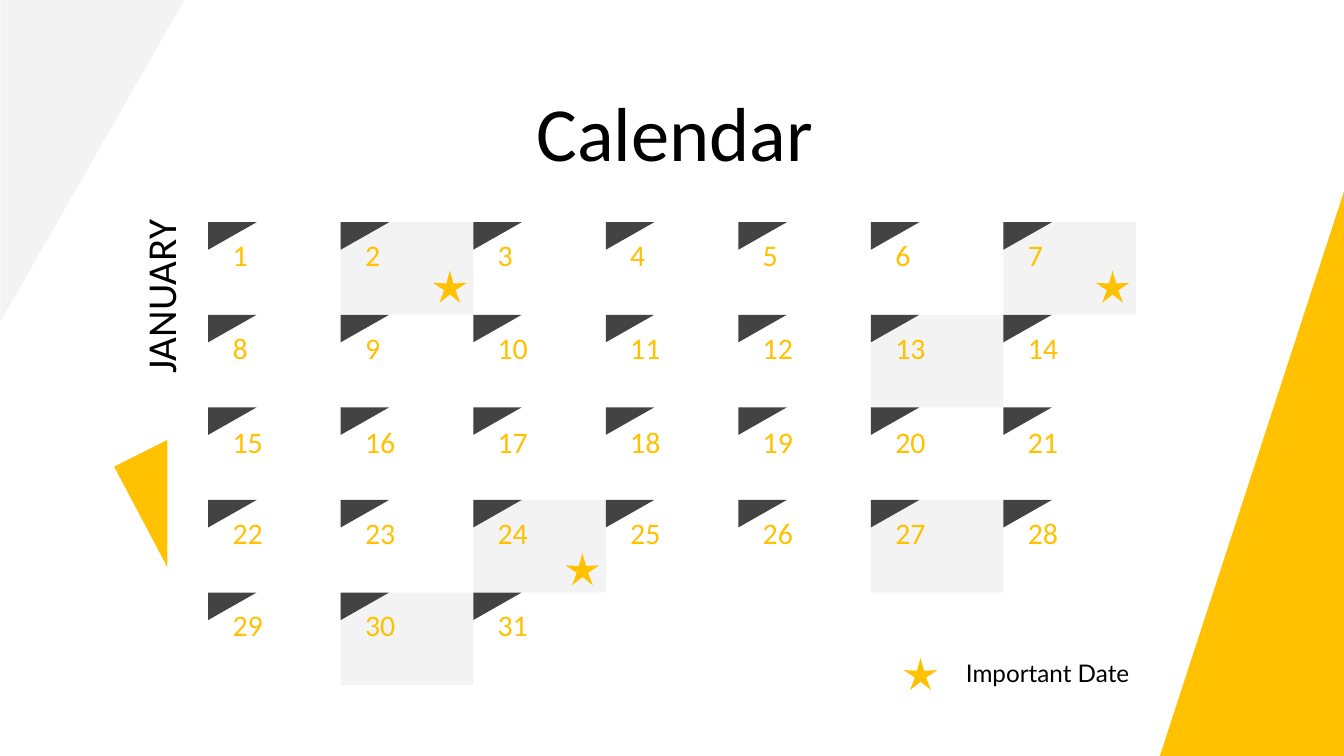
"""Build a January calendar slide with marked and important dates."""
from pptx import Presentation
from pptx.dml.color import RGBColor
from pptx.enum import shapes, text
from pptx.util import Cm, Pt

GOLD, GREY, DARK, BLACK = "FFC100", "F3F3F3", "434343", "000000"
KIND = shapes.MSO_SHAPE
ALIGN = text.PP_ALIGN
ANCHOR = text.MSO_ANCHOR


def draw(kind, x, y, w, h, hue, turn=0):
    item = slide.shapes.add_shape(kind, Cm(x), Cm(y), Cm(w), Cm(h))
    item.fill.solid()
    item.fill.fore_color.rgb = RGBColor.from_string(hue)
    item.line.fill.background()
    item.shadow.inherit = False
    item.rotation = turn
    return item


def write(box, x, y, w, h, words, size, hue, font="Calibri",
          align=ALIGN.LEFT, anchor=ANCHOR.MIDDLE, space=1.15):
    box.left, box.top, box.width, box.height = Cm(x), Cm(y), Cm(w), Cm(h)
    frame = box.text_frame
    frame.word_wrap = True
    frame.auto_size = text.MSO_AUTO_SIZE.NONE
    frame.vertical_anchor = anchor
    frame.margin_left = frame.margin_right = Cm(0.51)
    frame.margin_top = frame.margin_bottom = Cm(0.51)
    para = frame.paragraphs[0]
    para.alignment = align
    para.line_spacing = space
    para.space_before = Pt(0)
    run = para.add_run()
    run.text = words
    run.font.size = Pt(size)
    run.font.name = font
    run.font.color.rgb = RGBColor.from_string(hue)
    return para


deck = Presentation()
deck.slide_width, deck.slide_height = Cm(50.8), Cm(28.58)
slide = deck.slides.add_slide(deck.slide_layouts[0])

draw(KIND.RIGHT_TRIANGLE, -2.59, 2.59, 12.17, 6.96, GREY, 90)
draw(KIND.RIGHT_TRIANGLE, 36.65, 14.43, 21.34, 6.96, GOLD, 270)

write(slide.shapes.title, 3, 2.72, 45, 3.18, "Calendar", 82, BLACK,
      align=ALIGN.CENTER, anchor=ANCHOR.TOP, space=1.0)
month = slide.placeholders[1]
para = write(month, 0.51, 11.61, 10.36, 2.74, "JANUARY", 44, BLACK,
             align=ALIGN.RIGHT, anchor=ANCHOR.TOP)
para.space_after = Pt(32)
month.rotation = 270
wedge = draw(KIND.ISOSCELES_TRIANGLE, 2.92, 18.03, 4.8, 2.01, GOLD, 270)
wedge.adjustments[0] = 0.79

LEFT, TOP, WIDE, HIGH = 7.87, 8.4, 5.01, 3.5
spots = {}
for day in range(1, 32):
    row, col = divmod(day - 1, 7)
    spots[day] = (LEFT + col * WIDE, TOP + row * HIGH)

for day in (2, 7, 13, 24, 27, 30):
    draw(KIND.RECTANGLE, *spots[day], WIDE, HIGH, GREY)

for day, (x, y) in spots.items():
    drop = 0.08 if 15 <= day <= 21 else 0
    box = slide.shapes.add_textbox(0, 0, 0, 0)
    write(box, x + 0.41, y + drop, 2.39, 2.24, str(day), 32, GOLD)
    flag = draw(KIND.RIGHT_TRIANGLE, x, y, 1.83, 1.04, DARK, 180)
    flag._element.spPr.xfrm.set("flipH", "1")

stars = [(34.16, 24.87)]
for day, drop in ((2, 1.83), (7, 1.83), (24, 2.01)):
    x, y = spots[day]
    stars.append((x + 3.49, y + drop))
for x, y in stars:
    draw(KIND.STAR_5_POINT, x, y, 1.27, 1.22, GOLD).adjustments[0] = 0.17

label = slide.shapes.add_textbox(0, 0, 0, 0)
write(label, 36, 24.66, 9.42, 1.57, "Important Date", 26, BLACK,
      font="Lato", space=1.0)

deck.save("out.pptx")
